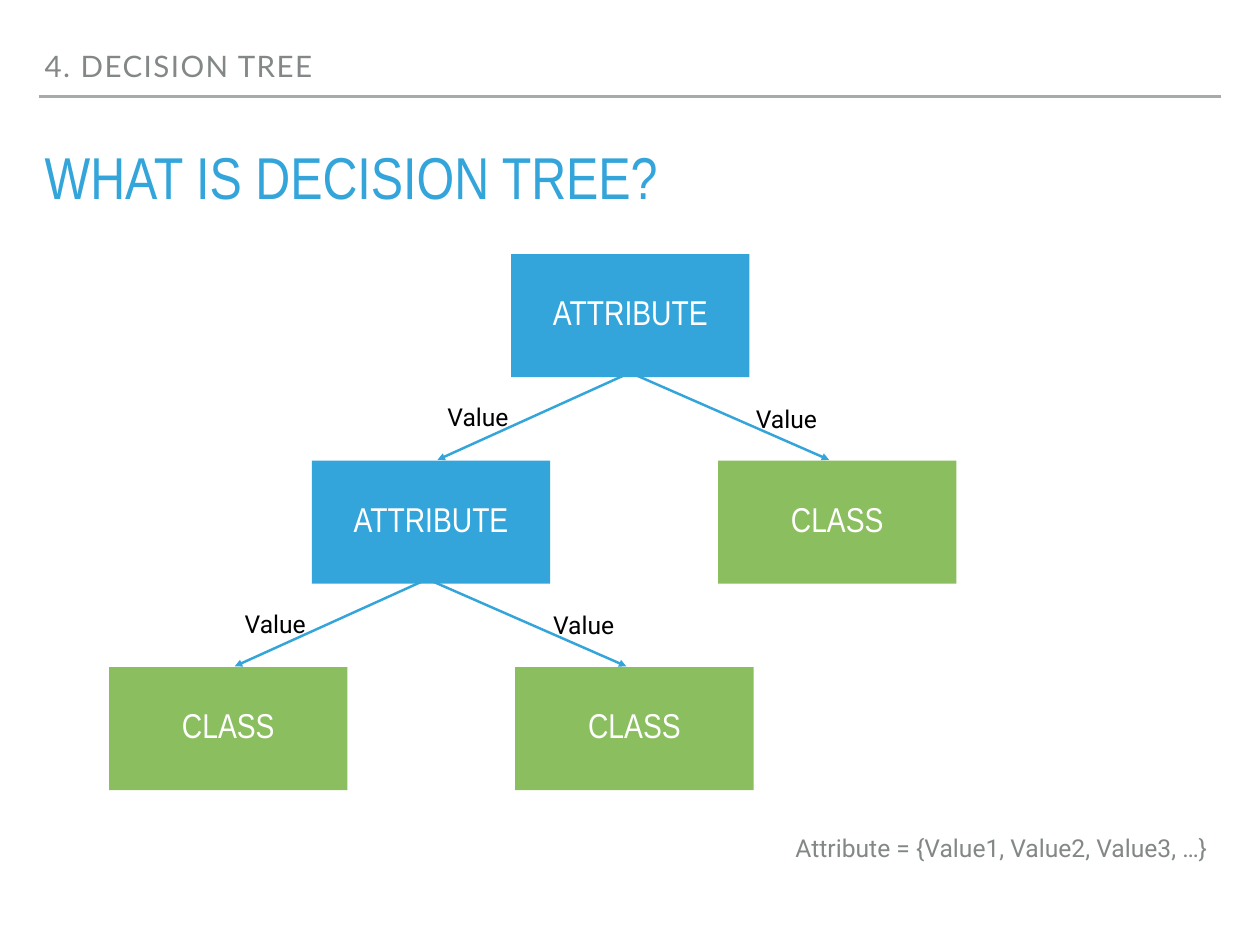
"""Build the decision tree slide."""
from dataclasses import dataclass

from lxml import etree
from pptx import Presentation
from pptx.dml.color import RGBColor
from pptx.enum.shapes import MSO_CONNECTOR, MSO_SHAPE
from pptx.enum.text import MSO_ANCHOR, PP_ALIGN
from pptx.oxml.ns import qn
from pptx.util import Pt

STRAIGHT = MSO_CONNECTOR.STRAIGHT
RECTANGLE = MSO_SHAPE.RECTANGLE
TOP, MIDDLE, BOTTOM = MSO_ANCHOR.TOP, MSO_ANCHOR.MIDDLE, MSO_ANCHOR.BOTTOM
LEFT, CENTER = PP_ALIGN.LEFT, PP_ALIGN.CENTER


@dataclass(frozen=True)
class Theme:
    """Colours, fonts and sizes of the slide."""

    blue: str = "34A5DA"
    green: str = "8ABE5E"
    grey: str = "838787"
    rule: str = "A6AAA9"
    black: str = "000000"
    white: str = "FFFFFF"
    header_font: str = "Lato"
    display_font: str = "Arial Narrow"
    body_font: str = "Roboto"
    header_size: int = 24
    title_size: int = 48
    node_size: int = 28
    label_size: int = 20
    line_width: int = 2
    inset: float = 4.3


THEME = Theme()
NODE_WIDTH, NODE_HEIGHT = 193.7, 100


def set_text(shape, text, font, size, color, anchor=MIDDLE, align=LEFT,
             spacing=1.0, wrap=True):
    """Write one styled paragraph into a shape and return it."""
    frame = shape.text_frame
    frame.word_wrap = wrap
    frame.vertical_anchor = anchor
    frame.margin_left = frame.margin_right = Pt(THEME.inset)
    frame.margin_top = frame.margin_bottom = Pt(THEME.inset)
    para = frame.paragraphs[0]
    para.text = text
    para.alignment = align
    para.line_spacing = spacing
    para.font.name = font
    para.font.size = Pt(size)
    para.font.color.rgb = RGBColor.from_string(color)
    return para


def add_text(page, text, left, top, width, height, *style, **options):
    """Add a text box holding one paragraph and return the paragraph."""
    box = page.shapes.add_textbox(Pt(left), Pt(top), Pt(width), Pt(height))
    return set_text(box, text, *style, **options)


def add_line(page, start, end, color, arrow=False):
    """Add a straight line, with an arrowhead at its end if wanted."""
    line = page.shapes.add_connector(
        STRAIGHT, Pt(start[0]), Pt(start[1]), Pt(end[0]), Pt(end[1]))
    line.line.color.rgb = RGBColor.from_string(color)
    line.line.width = Pt(THEME.line_width)
    if arrow:
        outline = line.line._get_or_add_ln()
        etree.SubElement(outline, qn("a:tailEnd"), type="triangle")
    etree.SubElement(line._element.spPr, qn("a:effectLst"))


def add_node(page, text, left, top, color):
    """Add a filled rectangle for one node of the tree."""
    node = page.shapes.add_shape(
        RECTANGLE, Pt(left), Pt(top), Pt(NODE_WIDTH), Pt(NODE_HEIGHT))
    node.shadow.inherit = False
    node.fill.solid()
    node.fill.fore_color.rgb = RGBColor.from_string(color)
    node.line.fill.background()
    set_text(node, text, THEME.display_font, THEME.node_size, THEME.white,
             align=CENTER, spacing=0.8)


def add_split(page, x, y, left_child, right_child):
    """Add two labelled arrows from a point to two child nodes."""
    branches = (
        (left_child, -258.6, -3.8, -156.4, -152.7, 16.5),
        (right_child, 71.5, 4.1, 161.8, 98, 18),
    )
    for child, node_dx, start_dx, end_dx, label_dx, label_dy in branches:
        add_node(page, child[0], x + node_dx, y + 69.8, child[1])
        add_line(page, (x + start_dx, y), (x + end_dx, y + 69.1),
                 THEME.blue, arrow=True)
        add_text(page, "Value", x + label_dx, y + label_dy, 60.5, 35.3,
                 THEME.body_font, THEME.label_size, THEME.black, wrap=False)


def main():
    """Build and save the slide."""
    deck = Presentation()
    deck.slide_width, deck.slide_height = Pt(1024), Pt(768)
    page = deck.slides.add_slide(deck.slide_layouts[6])
    attribute = ("ATTRIBUTE", THEME.blue)
    leaf = ("CLASS", THEME.green)

    add_line(page, (32, 78.5), (992, 78.5), THEME.rule)
    header = add_text(page, "4. DECISION TREE", 32, 36, 880, 36,
                      THEME.header_font, THEME.header_size, THEME.grey,
                      anchor=BOTTOM, spacing=0.8)
    header.runs[0].font._element.set("spc", "120")
    add_text(page, "WHAT IS DECISION TREE?", 32, 121, 960, 57,
             THEME.display_font, THEME.title_size, THEME.blue,
             anchor=TOP, spacing=0.8)

    add_node(page, attribute[0], 415.4, 206.6, attribute[1])
    add_split(page, 512, 304.6, attribute, leaf)
    add_split(page, 347.2, 472.4, leaf, leaf)

    add_text(page, "Attribute = {Value1, Value2, Value3, …}",
             642.2, 671, 364.3, 35.3,
             THEME.body_font, THEME.label_size, THEME.grey)
    deck.save("out.pptx")


if __name__ == "__main__":
    main()
